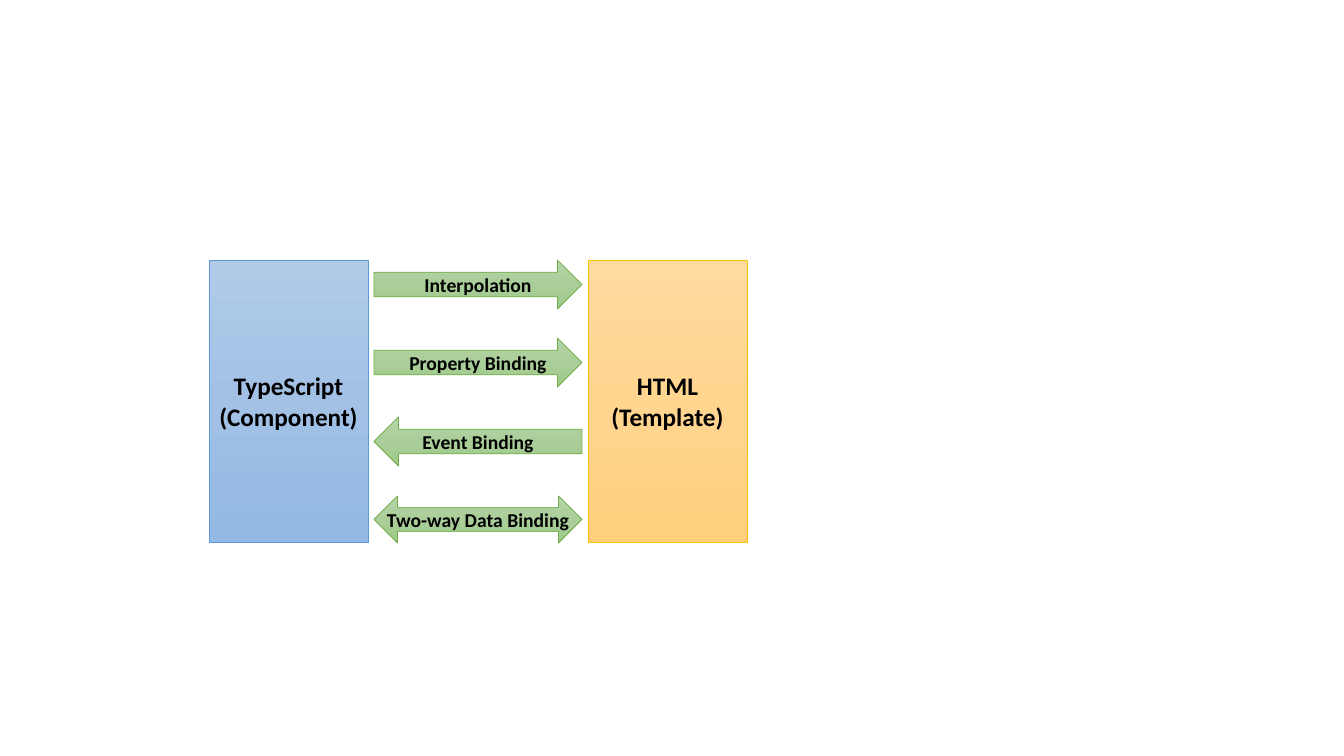
from copy import deepcopy

from pptx import Presentation
from pptx.dml.color import RGBColor
from pptx.enum.shapes import MSO_SHAPE
from pptx.enum.text import MSO_ANCHOR, MSO_AUTO_SIZE, PP_ALIGN
from pptx.oxml.ns import qn
from pptx.util import Emu, Pt

RECTANGLE = MSO_SHAPE.RECTANGLE
RIGHT = MSO_SHAPE.RIGHT_ARROW
LEFT = MSO_SHAPE.LEFT_ARROW
BOTH = MSO_SHAPE.LEFT_RIGHT_ARROW
MIDDLE, TOP = MSO_ANCHOR.MIDDLE, MSO_ANCHOR.TOP
CENTER = PP_ALIGN.CENTER
GROW = MSO_AUTO_SIZE.SHAPE_TO_FIT_TEXT
EMU_PER_PIXEL = 914400 / 100.8


def paint(shape, gradient, outline):
    """Give a shape a three-stop downward gradient and a thin outline."""
    shape.shadow.inherit = False
    shape.fill.gradient()
    shape.fill.gradient_angle = 270
    stop_list = shape._element.spPr.find(qn("a:gradFill")).find(qn("a:gsLst"))
    stop_list.insert(1, deepcopy(stop_list[0]))
    for stop, position, color in zip(shape.fill.gradient_stops, (0, 0.5, 1), gradient):
        stop.position = position
        stop.color.rgb = RGBColor.from_string(color)
    shape.line.color.rgb = RGBColor.from_string(outline)
    shape.line.width = Pt(0.5)


def write(shape, lines, size, anchor):
    """Write centred bold black lines, one paragraph each."""
    frame = shape.text_frame
    frame.word_wrap = True
    frame.vertical_anchor = anchor
    for index, line in enumerate(lines):
        paragraph = frame.add_paragraph() if index else frame.paragraphs[0]
        paragraph.alignment = CENTER
        run = paragraph.add_run()
        run.text = line
        run.font.name = "Calibri"
        run.font.size = Pt(size)
        run.font.bold = True
        run.font.color.rgb = RGBColor.from_string("000000")


deck = Presentation()
deck.slide_width, deck.slide_height = [Emu(round(v * EMU_PER_PIXEL)) for v in (1344, 756)]
slide = deck.slides.add_slide(deck.slide_layouts[6])

# The two sides of the binding
sides = [
    (209, ["TypeScript", "(Component)"], ["B1CBE9", "A3C1E5", "93B9E4"], "5B9BD5"),
    (588, ["HTML", "(Template)"], ["FFDB9E", "FFD590", "FFD07C"], "FFC000"),
]
for left, lines, gradient, outline in sides:
    area = [Emu(round(v * EMU_PER_PIXEL)) for v in (left, 260, 159, 282)]
    side = slide.shapes.add_shape(RECTANGLE, *area)
    paint(side, gradient, outline)
    write(side, lines, 18, MIDDLE)

# The bindings between them, each an arrow grouped with its label
bindings = [
    ("Interpolation", RIGHT, 49),
    ("Property Binding", RIGHT, 49),
    ("Event Binding", LEFT, 49),
    ("Two-way Data Binding", BOTH, 47),
]
for row, (name, direction, height) in enumerate(bindings):
    top = 260 + 236 * row // 3
    label_top = top + (height - 33) // 2
    binding = slide.shapes.add_group_shape()
    area = [Emu(round(v * EMU_PER_PIXEL)) for v in (374, top, 208, height)]
    arrow = binding.shapes.add_shape(direction, *area)
    paint(arrow, ["B5D5A7", "AACE9A", "9CC987"], "70AD47")
    area = [Emu(round(v * EMU_PER_PIXEL)) for v in (374, label_top, 208, 28)]
    label = binding.shapes.add_textbox(*area)
    write(label, [name], 14, TOP)
    label.text_frame.auto_size = GROW

deck.save("out.pptx")
